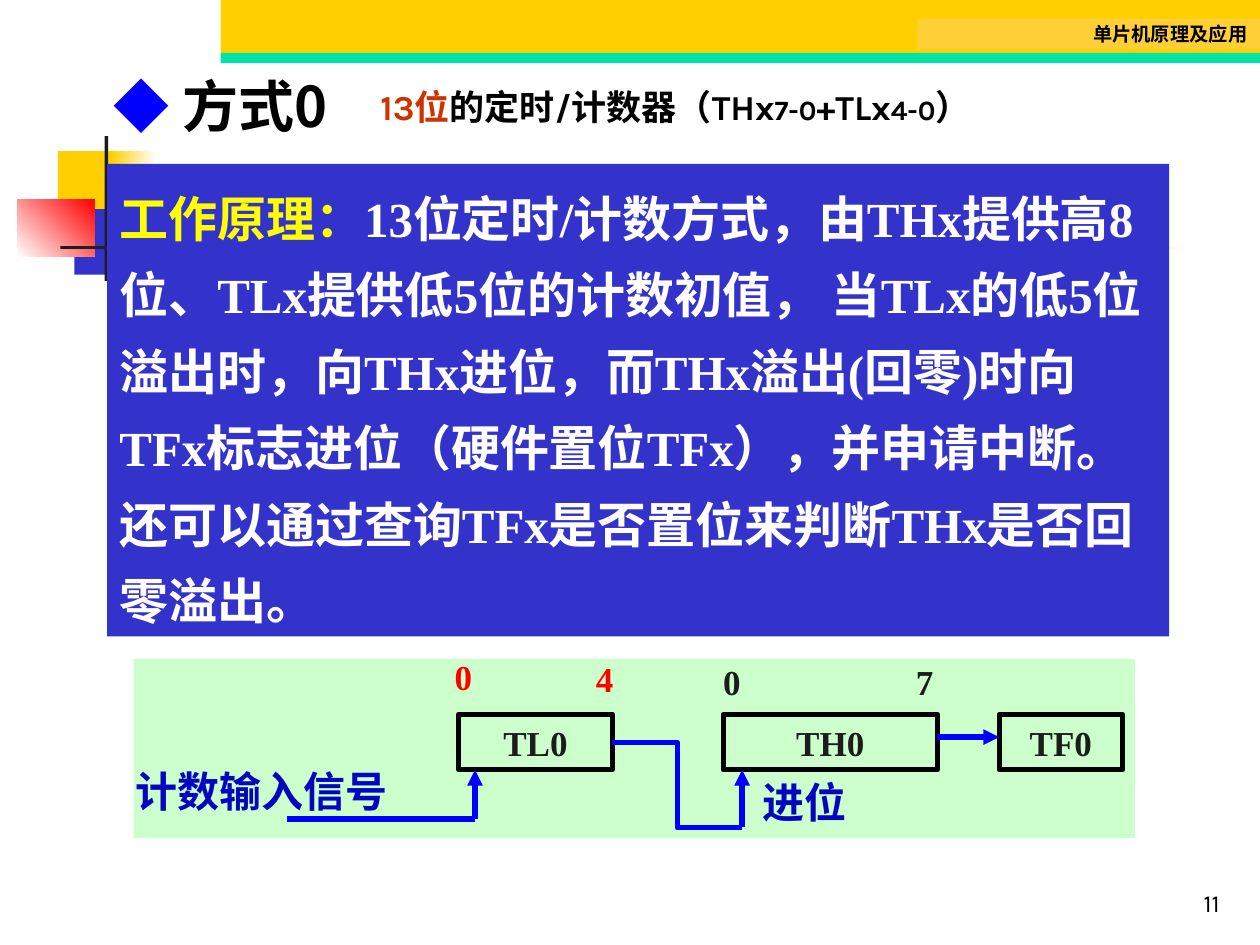
from lxml.etree import SubElement
from pptx import Presentation
from pptx.dml.color import RGBColor
from pptx.enum.shapes import MSO_CONNECTOR as Link, MSO_SHAPE as Kind
from pptx.enum.text import MSO_ANCHOR as Anchor, MSO_AUTO_SIZE as Fit, PP_ALIGN as Align
from pptx.oxml.ns import qn
from pptx.util import Pt

PX = 9144  # 100 px to the inch
KARLA, NOTO, TIMES = "Karla", "Noto Sans CJK SC", "Times New Roman"

WHITE = RGBColor(0xFF, 0xFF, 0xFF)
BLACK = RGBColor(0, 0, 0)
INK = RGBColor(0x1C, 0x1C, 0x1C)
GOLD = RGBColor(0xFF, 0xCF, 0x01)
AMBER = RGBColor(0xFF, 0xCF, 0x37)
TEAL = RGBColor(0x00, 0xE4, 0xA8)
INDIGO = RGBColor(0x33, 0x33, 0xCC)
BLUE = RGBColor(0, 0, 0xFF)
NAVY = RGBColor(0x02, 0x06, 0xBE)
RED = RGBColor(0xFF, 0, 0)
RUST = RGBColor(0xCC, 0x33, 0x00)
YELLOW = RGBColor(0xFF, 0xFF, 0)
MINT = RGBColor(0xCC, 0xFF, 0xCC)


def scale(*nums):
    return [n * PX for n in nums]


def write(shape, *runs, font=TIMES, size=20, color=INK, bold=True,
          align=Align.LEFT, anchor=Anchor.TOP, wrap=True, lead=None):
    """Fill a shape with runs: plain text, or (text, overrides)."""
    frame = shape.text_frame
    frame.auto_size = Fit.NONE
    frame.word_wrap = wrap
    frame.vertical_anchor = anchor
    para = frame.paragraphs[0]
    para.alignment = align
    para.line_spacing = lead
    for item in runs:
        text, own = (item, {}) if isinstance(item, str) else item
        run = para.add_run()
        run.text = text
        face = run.font
        face.name = own.get("font", font)
        face.size = Pt(own.get("size", size))
        face.bold = bold
        face.color.rgb = own.get("color", color)
        SubElement(face._element, qn("a:ea")).set("typeface", NOTO)


def label(shapes, box, *runs, **form):
    write(shapes.add_textbox(*scale(*box)), *runs, **form)


def block(shapes, box, fill=None, fade=None, angle=0, line=None):
    """Add a rectangle, plain or fading from fill to fade."""
    shape = shapes.add_shape(Kind.RECTANGLE, *scale(*box))
    shape.shadow.inherit = False
    if fade is not None:
        shape.fill.gradient()
        shape.fill.gradient_angle = angle
        for stop, color in zip(shape.fill.gradient_stops, (fill, fade)):
            stop.color.rgb = color
    elif fill is not None:
        shape.fill.solid()
        shape.fill.fore_color.rgb = fill
    else:
        shape.fill.background()
    if line is None:
        shape.line.fill.background()
    else:
        shape.line.color.rgb = line
        shape.line.width = Pt(3)
    return shape


def wire(shapes, ends, kind=Link.STRAIGHT, arrow=False):
    link = shapes.add_connector(kind, *scale(*ends))
    link.line.color.rgb = BLUE
    link.line.width = Pt(3)
    if arrow:
        SubElement(link.line._get_or_add_ln(), qn("a:tailEnd")).set("type", "triangle")
    SubElement(link._element.spPr, qn("a:effectLst"))
    return link


def decor(shapes):
    block(shapes, (46, 120, 48, 52), GOLD)
    block(shapes, (88, 120, 36, 52), GOLD, WHITE)
    block(shapes, (59, 166, 46, 52), INDIGO)
    block(shapes, (14, 158, 61, 46), WHITE, RED, angle=45)
    block(shapes, (83, 108, 3, 115), INK)
    block(shapes, (48, 195, 900, 3), INK, WHITE)
    block(shapes, (175, 0, 825, 42), GOLD)
    block(shapes, (175, 42, 825, 8), TEAL)
    write(block(shapes, (728, 15, 272, 24), AMBER), "单片机原理及应用",
          font=KARLA, size=11, color=BLACK, align=Align.RIGHT, anchor=Anchor.MIDDLE)


def heading(shapes):
    title = shapes.title
    title.left, title.top, title.width, title.height = scale(80, 52, 212, 63)
    write(title, ("◆ ", {"font": KARLA, "color": BLUE}), "方式0", font=NOTO,
          size=32, color=BLACK, anchor=Anchor.MIDDLE, wrap=False)
    small = {"size": 16}
    label(shapes, (292, 67, 542, 52), ("13位", {"color": RUST}),
          "的定时/计数器（THx", ("7-0", small), "+TLx", ("4-0", small), "）",
          font=KARLA, color=BLACK, lead=0.9)


def theory(shapes):
    write(block(shapes, (85, 130, 843, 375), INDIGO),
          ("工作原理：", {"color": YELLOW}),
          "13位定时/计数方式，由THx提供高8位、TLx提供低5位的计数初值， "
          "当TLx的低5位溢出时，向THx进位，而THx溢出(回零)时向TFx标志进位"
          "（硬件置位TFx），并申请中断。还可以通过查询TFx是否置位来判断THx是否回零溢出。",
          size=28, color=WHITE, lead=1.3, anchor=Anchor.MIDDLE)


def diagram(shapes):
    block(shapes, (106, 523, 795, 142), MINT)
    regs = {}
    for name, left, width in (("TL0", 364, 122), ("TH0", 574, 170), ("TF0", 793, 98)):
        regs[name] = block(shapes, (left, 567, width, 44), line=BLACK)
        write(regs[name], name, align=Align.CENTER, anchor=Anchor.MIDDLE)
    for bit, left, top, color in (("0", 351, 515, RED), ("4", 463, 517, RED),
                                  ("0", 564, 519, INK), ("7", 717, 519, INK)):
        label(shapes, (left, top, 51, 43), bit, color=color)
    for text, box in (("计数输入信号", (98, 603, 229, 50)), ("进位", (595, 611, 128, 50))):
        label(shapes, box, text, size=24, color=NAVY)
    carry = wire(shapes, (486, 589, 589, 657), Link.ELBOW)
    carry.begin_connect(regs["TL0"], 3)
    wire(shapes, (228, 650, 377, 650))
    for ends in ((589, 656, 589, 611), (377, 650, 377, 611), (744, 585, 793, 585)):
        wire(shapes, ends, arrow=True)


def main():
    deck = Presentation()
    deck.slide_width, deck.slide_height = scale(1000, 750)
    shapes = deck.slides.add_slide(deck.slide_layouts[5]).shapes
    decor(shapes)
    heading(shapes)
    theory(shapes)
    diagram(shapes.add_group_shape().shapes)
    label(shapes, (770, 683, 208, 50), "11", font=KARLA, size=14, color=BLACK,
          bold=False, align=Align.RIGHT, anchor=Anchor.BOTTOM)
    deck.save("out.pptx")


if __name__ == "__main__":
    main()
